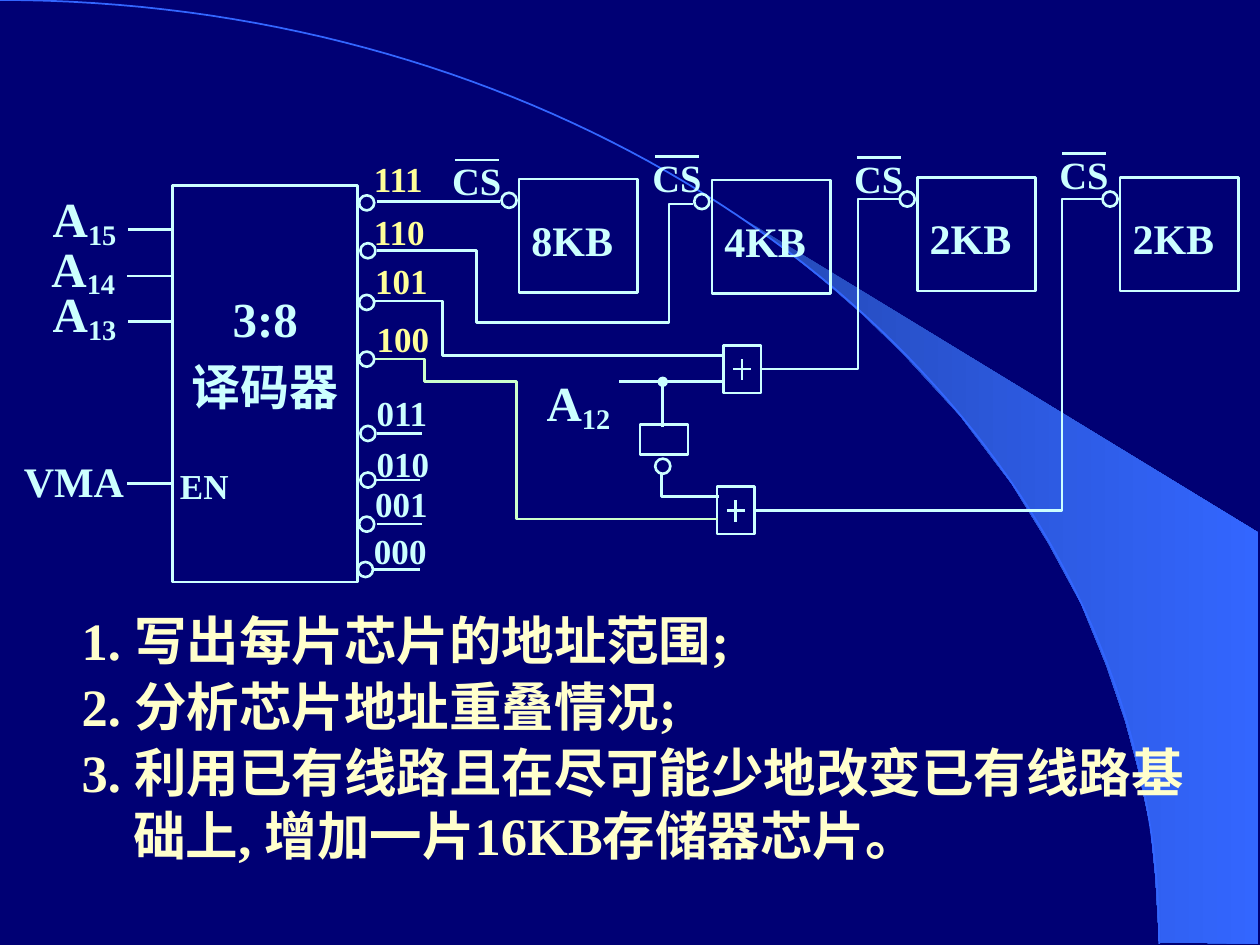
from lxml.etree import SubElement
from pptx import Presentation
from pptx.dml.color import RGBColor
from pptx.enum.shapes import MSO_CONNECTOR, MSO_SHAPE
from pptx.enum.text import MSO_ANCHOR, PP_ALIGN
from pptx.oxml.ns import qn
from pptx.util import Inches, Pt

COLORS = {"navy": "000074", "beam": "2449B6", "blue": "3366FF", "cyan": "CCFFFF",
          "yellow": "FFFF99", "cream": "FFFFCC", "mint": "CCFFCC"}
FONT = "Times New Roman"
BUBBLE = 0.12

# Content: all places are inches
QUESTIONS = ["1. 写出每片芯片的地址范围;",
             "2. 分析芯片地址重叠情况;",
             "3. 利用已有线路且在尽可能少地改变已有线路基础上, 增加一片16KB存储器芯片。"]
# Decoder outputs: code, label corner, bubble corner, colour
OUTPUTS = [("111", (2.87, 1.20), (2.85, 1.55), "yellow"),
           ("110", (2.87, 1.62), (2.86, 1.93), "yellow"),
           ("101", (2.88, 2.01), (2.85, 2.34), "yellow"),
           ("100", (2.89, 2.47), (2.85, 2.79), "yellow"),
           ("011", (2.89, 3.06), (2.86, 3.38), "cyan"),
           ("010", (2.89, 3.46), (2.86, 3.75), "cyan"),
           ("001", (2.88, 3.78), (2.85, 4.10), "cyan"),
           ("000", (2.87, 4.15), (2.84, 4.46), "cyan")]
# Unused outputs: left end and height of the stub
STUBS = [(2.99, 3.44), (2.97, 3.81), (2.99, 4.16), (2.97, 4.52)]
# Address lines: index, label corner
ADDRESSES = [("15", 0.32, 1.45), ("14", 0.31, 1.84), ("13", 0.32, 2.20), ("12", 4.24, 2.91)]
INPUTS = [(1.02, 1.82), (1.01, 2.19), (1.02, 2.55), (1.01, 3.84)]
# Memory chips: size, chip corner, chip-select label corner
CHIPS = [("8KB", (4.12, 1.42), (3.49, 1.20)),
         ("4KB", (5.65, 1.43), (5.08, 1.17)),
         ("2KB", (7.28, 1.41), (6.68, 1.18)),
         ("2KB", (8.89, 1.41), (8.31, 1.15))]
GATES = [(5.74, 2.74), (5.69, 3.86)]
WIRES = [([(2.99, 1.99), (3.78, 1.99), (3.78, 2.56), (5.31, 2.56), (5.31, 1.62), (5.5, 1.62)], "cyan"),
         ([(2.97, 2.39), (3.51, 2.39), (3.51, 2.82), (5.74, 2.82)], "cyan"),
         ([(6.03, 2.93), (6.81, 2.93), (6.81, 1.58), (7.15, 1.58)], "cyan"),
         ([(5.25, 3.75), (5.25, 3.94), (5.71, 3.94)], "cyan"),
         ([(6, 4.05), (8.43, 4.05), (8.43, 1.58), (8.76, 1.58)], "cyan"),
         ([(2.98, 2.85), (3.37, 2.85), (3.37, 3.03), (4.1, 3.03), (4.1, 4.12), (5.7, 4.12)], "mint")]
BEAM = [(9.2, 7.48), (9.99, 7.49), (9.99, 4.23), (5.89, 1.73), (6.24, 1.99), (6.53, 2.22),
        (6.85, 2.5), (7.16, 2.8), (7.62, 3.3), (8.03, 3.84), (8.32, 4.31), (8.58, 4.79),
        (8.78, 5.28), (8.93, 5.72), (9.03, 6.09), (9.13, 6.56), (9.17, 6.96)]
ARC = [(0, 0), (5.08, 0), (9.2, 3.35), (9.2, 7.49)]

deck = Presentation()
deck.slide_width, deck.slide_height = Inches(10), Inches(7.5)
page = deck.slides.add_slide(deck.slide_layouts[6])
page.background.fill.solid()
page.background.fill.fore_color.rgb = RGBColor.from_string(COLORS["navy"])


def outline(shape, color="cyan", width=1.5):
    shape.line.color.rgb = RGBColor.from_string(COLORS[color])
    shape.line.width = Pt(width)


def add_outline(kind, left, top, width, height):
    shape = page.shapes.add_shape(kind, Inches(left), Inches(top), Inches(width), Inches(height))
    shape.shadow.inherit = False
    shape.fill.background()
    outline(shape)
    return shape


def add_bubble(left, top):
    add_outline(MSO_SHAPE.OVAL, left, top, BUBBLE, BUBBLE)


def add_line(x1, y1, x2, y2):
    line = page.shapes.add_connector(MSO_CONNECTOR.STRAIGHT, Inches(x1), Inches(y1),
                                     Inches(x2), Inches(y2))
    SubElement(line._element.spPr, qn("a:effectLst"))
    outline(line)
    return line


def add_path(points, closed=False):
    corners = [(Inches(x), Inches(y)) for x, y in points]
    builder = page.shapes.build_freeform(*corners[0])
    builder.add_line_segments(corners[1:], close=closed)
    shape = builder.convert_to_shape()
    shape.shadow.inherit = False
    shape.fill.background()
    return shape


def write(box, lines, size=20, color="cyan", align=PP_ALIGN.LEFT, before=0, hang=0,
          top=0.05, spacing=None, subscript=None):
    frame = box.text_frame
    frame.word_wrap = True
    frame.vertical_anchor = MSO_ANCHOR.TOP
    frame.margin_top = Inches(top)
    for index, text in enumerate(lines):
        para = frame.paragraphs[0] if index == 0 else frame.add_paragraph()
        para.alignment = align
        if spacing:
            para.line_spacing = spacing[index]
        properties = para._p.get_or_add_pPr()
        if before:
            gap = SubElement(properties, qn("a:spcBef"))
            SubElement(gap, qn("a:spcPct")).set("val", str(before * 1000))
        if hang:
            properties.set("marL", str(Inches(hang)))
            properties.set("indent", str(-Inches(hang)))
        for part in filter(None, (text, subscript)):
            span = para.add_run()
            span.text = part
            span.font.name, span.font.size, span.font.bold = FONT, Pt(size), True
            span.font.color.rgb = RGBColor.from_string(COLORS[color])
        if subscript:
            span._r.get_or_add_rPr().set("baseline", "-16000")


def add_label(text, left, top, width, height, **style):
    box = page.shapes.add_textbox(Inches(left), Inches(top), Inches(width), Inches(height))
    write(box, [text] if isinstance(text, str) else text, **{"before": 50, **style})


def curve_point(t):
    weights = ((1 - t) ** 3, 3 * t * (1 - t) ** 2, 3 * t ** 2 * (1 - t), t ** 3)
    return tuple(sum(w * p[axis] for w, p in zip(weights, ARC)) for axis in (0, 1))


# Background beam and arc
beam = add_path(BEAM, closed=True)
beam.line.fill.background()
beam.fill.gradient()
beam.fill.gradient_angle = 0
for stop, name in zip(beam.fill.gradient_stops, ("beam", "blue")):
    stop.color.rgb = RGBColor.from_string(COLORS[name])
outline(add_path([curve_point(step / 80) for step in range(81)]), "blue", 1)

# Questions
add_label(QUESTIONS, 0.55, 4.78, 9.13, 2.15, size=30, color="cream", before=5, hang=0.41)

# Decoder with its inputs
decoder = add_outline(MSO_SHAPE.RECTANGLE, 1.37, 1.47, 1.47, 3.15)
write(decoder, ["3:8", "译码器"], size=28, align=PP_ALIGN.CENTER, top=0.82, spacing=(1.0, 1.15))
add_label("VMA", 0.09, 3.57, 1.31, 0.5, size=24)
add_label("EN", 1.33, 3.64, 0.81, 0.43)
for left, y in INPUTS:
    add_line(left, y, left + 0.35, y)
for number, left, top in ADDRESSES:
    add_label("A", left, top, 0.78, 0.57, size=28, subscript=number)

# Decoder outputs
for code, label, bubble, color in OUTPUTS:
    add_bubble(*bubble)
    add_label(code, *label, 0.63, 0.43, color=color)
for left, y in STUBS:
    add_line(left, y, left + 0.36, y)
add_line(2.99, 1.6, 3.97, 1.6)

# Memory chips with inverted chip selects
for size, (left, top), (label_left, label_top) in CHIPS:
    chip = add_outline(MSO_SHAPE.RECTANGLE, left, top, 0.94, 0.9)
    write(chip, [size], size=24, top=0.28)
    add_bubble(left - 0.14, top + 0.11)
    add_label("CS", label_left, label_top, 0.75, 0.47, size=22)
    add_line(label_left + 0.12, label_top + 0.07, label_left + 0.47, label_top + 0.07)

# OR gates
for left, top in GATES:
    add_outline(MSO_SHAPE.RECTANGLE, left, top, 0.3, 0.38)
    add_line(left + 0.08, top + 0.19, left + 0.22, top + 0.19)
    add_line(left + 0.15, top + 0.11, left + 0.15, top + 0.28)

# A12 branch through the inverter
add_line(5.74, 3.03, 4.91, 3.03)
add_outline(MSO_SHAPE.RECTANGLE, 5.08, 3.37, 0.38, 0.24)
add_bubble(5.2, 3.64)
branch = add_line(5.26, 3.03, 5.26, 3.39)
SubElement(branch.line._get_or_add_ln(), qn("a:headEnd")).set("type", "oval")

# Bent wires
for points, color in WIRES:
    outline(add_path(points), color)

deck.save("out.pptx")
